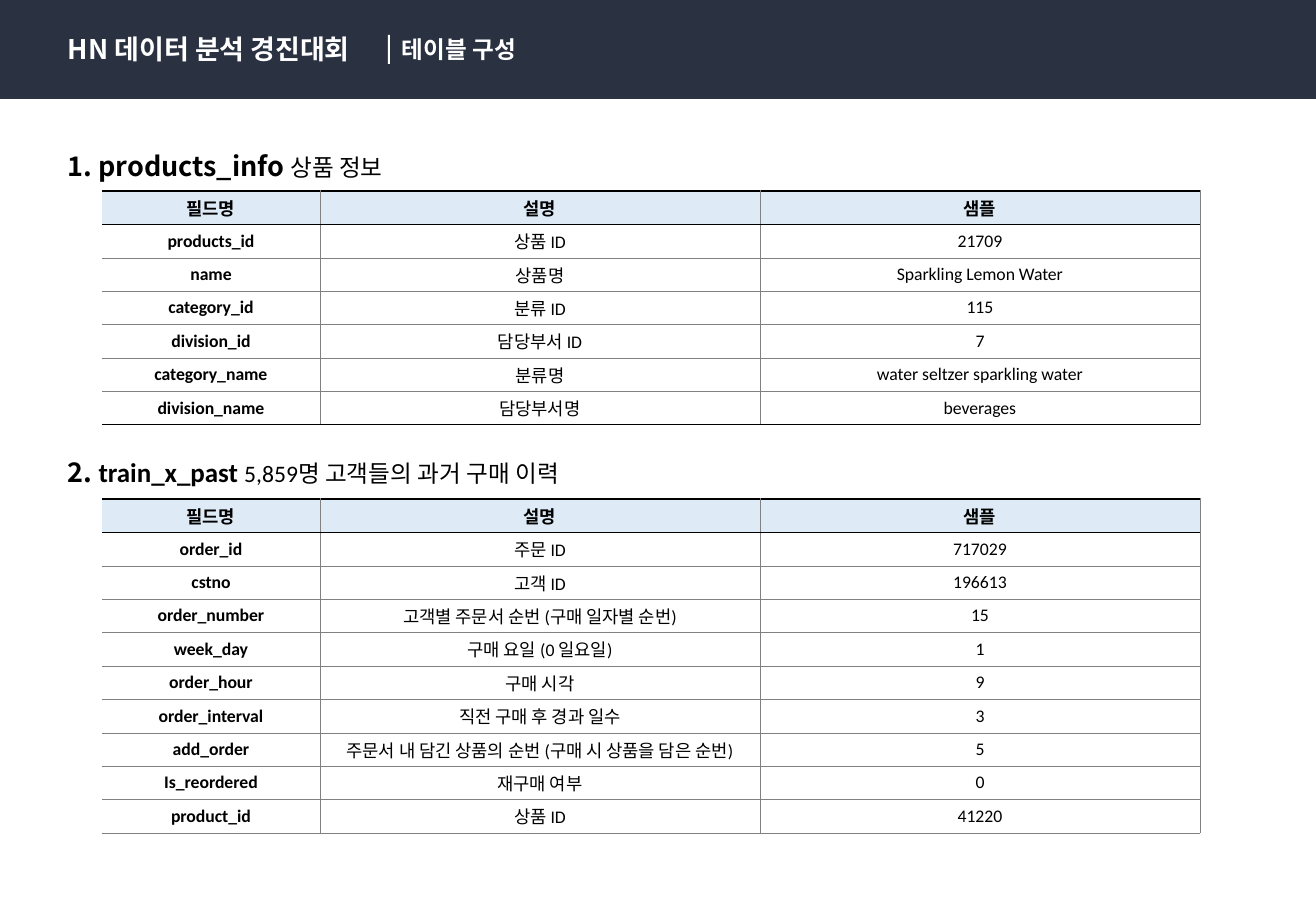
from lxml.etree import SubElement
from pptx import Presentation
from pptx.dml.color import RGBColor
from pptx.enum.shapes import MSO_SHAPE
from pptx.enum.text import MSO_ANCHOR, PP_ALIGN
from pptx.oxml.ns import qn
from pptx.util import Pt

SCALE = 914400 / 121.5
COLORS = {"navy": "2A3140", "white": "FFFFFF", "black": "000000",
          "header": "DEEBF7", "grid": "808080"}
KOREAN = "Noto Sans CJK KR"
LATIN = "Calibri"
COLUMNS = (218, 440, 440)
HEADERS = ("필드명", "설명", "샘플")
PRODUCTS = (
    ("products_id", "상품 ID", "21709"),
    ("name", "상품명", "Sparkling Lemon Water"),
    ("category_id", "분류 ID", "115"),
    ("division_id", "담당부서 ID", "7"),
    ("category_name", "분류명", "water seltzer sparkling water"),
    ("division_name", "담당부서명", "beverages"),
)
PURCHASES = (
    ("order_id", "주문 ID", "717029"),
    ("cstno", "고객 ID", "196613"),
    ("order_number", "고객별 주문서 순번 (구매 일자별 순번)", "15"),
    ("week_day", "구매 요일 (0 일요일)", "1"),
    ("order_hour", "구매 시각", "9"),
    ("order_interval", "직전 구매 후 경과 일수", "3"),
    ("add_order", "주문서 내 담긴 상품의 순번 (구매 시 상품을 담은 순번)", "5"),
    ("Is_reordered", "재구매 여부", "0"),
    ("product_id", "상품 ID", "41220"),
)


def px(length):
    """Turn pixels into EMU."""
    return round(length * SCALE)


def color(name):
    """Look up a named colour."""
    return RGBColor.from_string(COLORS[name])


def add_span(para, text, size=14, font=KOREAN, bold=False, fill="black"):
    """Append one formatted run to a paragraph."""
    span = para.add_run()
    span.text = text
    span.font.size = Pt(size)
    span.font.name = font
    span.font.bold = bold
    span.font.color.rgb = color(fill)
    SubElement(span.font._element, qn("a:ea"), typeface=KOREAN)


def add_text(page, box, spans, anchor=MSO_ANCHOR.MIDDLE, spacing=None):
    """Add a text box holding one paragraph of spans."""
    frame = page.shapes.add_textbox(*map(px, box)).text_frame
    frame.word_wrap = True
    frame.vertical_anchor = anchor
    para = frame.paragraphs[0]
    para.line_spacing = spacing
    for text, style in spans:
        add_span(para, text, **style)


def add_block(page, box, fill):
    """Add a plain filled rectangle."""
    block = page.shapes.add_shape(MSO_SHAPE.RECTANGLE, *map(px, box))
    block.shadow.inherit = False
    block.fill.solid()
    block.fill.fore_color.rgb = color(fill)
    block.line.fill.background()


def add_banner(page, box):
    """Draw the title band with its divider and subtitle."""
    left, top, width, height = box
    title = {"bold": True, "fill": "white"}
    add_block(page, box, "navy")
    add_text(page, (left + 56, top + 27, 514, 45),
             [("HN 데이터 분석 경진대회", {**title, "size": 16})], MSO_ANCHOR.TOP)
    add_text(page, (left + 390, top + 29, 429, 41), [("테이블 구성", title)])
    add_block(page, (left + 388, top + 35, 2, 29), "white")


def set_border(cell, side, name, points):
    """Draw one cell edge, or clear it when there is no colour."""
    line = SubElement(cell._tc.get_or_add_tcPr(), qn(f"a:ln{side}"), w=str(Pt(points)))
    if name:
        solid = SubElement(line, qn("a:solidFill"))
        SubElement(solid, qn("a:srgbClr"), val=COLORS[name])
    else:
        SubElement(line, qn("a:noFill"))


def fill_cell(cell, text, is_header, is_first, top, bottom):
    """Write and style one table cell."""
    grid, strong = ("grid", 0.25), ("black", 1)
    edges = {"L": (None, 0) if is_first else grid, "R": grid,
             "T": strong if top else grid, "B": strong if bottom else grid}
    for side, edge in edges.items():
        set_border(cell, side, *edge)
    if is_header:
        cell.fill.solid()
        cell.fill.fore_color.rgb = color("header")
    else:
        cell.fill.background()
    cell.margin_top = cell.margin_bottom = 0
    cell.vertical_anchor = MSO_ANCHOR.MIDDLE
    para = cell.text_frame.paragraphs[0]
    para.alignment = PP_ALIGN.CENTER
    add_span(para, text, size=10.5, font=LATIN, bold=is_header or is_first)


def add_fields(page, box, records, closed):
    """Draw a field table, closed by a strong bottom rule if asked."""
    rows = (HEADERS, *records)
    table = page.shapes.add_table(len(rows), len(COLUMNS), *map(px, box)).table
    table.first_row = table.horz_banding = False
    for column, width in zip(table.columns, COLUMNS):
        column.width = px(width)
    for r, values in enumerate(rows):
        table.rows[r].height = px(box[3] / len(rows))
        bottom = r == 0 or (closed and r == len(rows) - 1)
        for c, text in enumerate(values):
            fill_cell(table.cell(r, c), text, r == 0, c == 0, r < 2, bottom)


def add_section(page, box, heading, records, heading_height, table_top, closed):
    """Place a heading and its field table inside a box."""
    left, top, width, height = box
    add_text(page, (left, top, 972, heading_height), heading, spacing=1.5)
    add_fields(page, (left + 46, top + table_top, sum(COLUMNS), height - table_top),
               records, closed)


def build():
    """Build the deck and save it."""
    deck = Presentation()
    deck.slide_width, deck.slide_height = px(1316), px(911)
    page = deck.slides.add_slide(deck.slide_layouts[6])
    strong = {"size": 16, "bold": True}
    add_banner(page, (0, 0, 1316, 99))
    add_section(page, (56, 130, 1144, 295),
                [("1. products_info ", strong), ("상품 정보", {"font": LATIN})],
                PRODUCTS, 56, 61, True)
    add_section(page, (56, 433, 1144, 400),
                [("2. ", strong), ("train_x_past ", {**strong, "font": LATIN}),
                 ("5,859명 고객들의 과거 구매 이력", {"font": LATIN})],
                PURCHASES, 62, 66, False)
    deck.save("out.pptx")


build()
